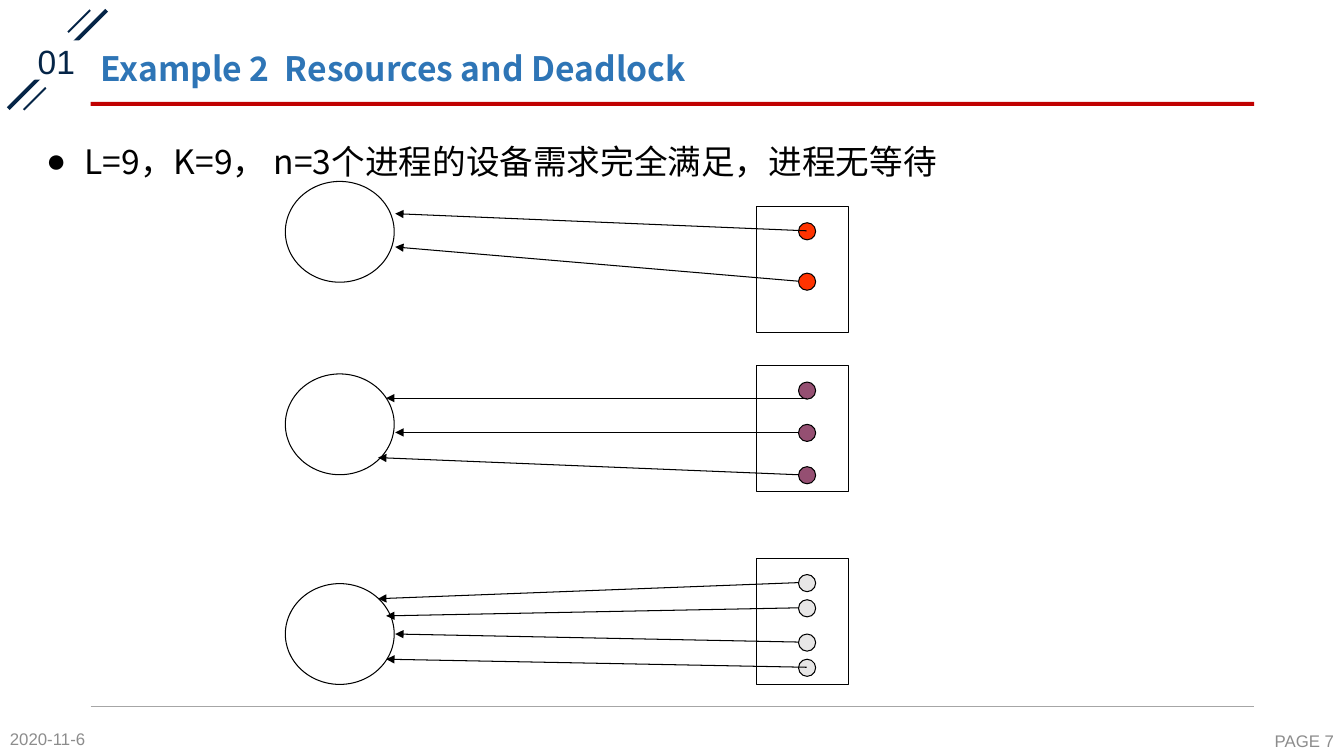
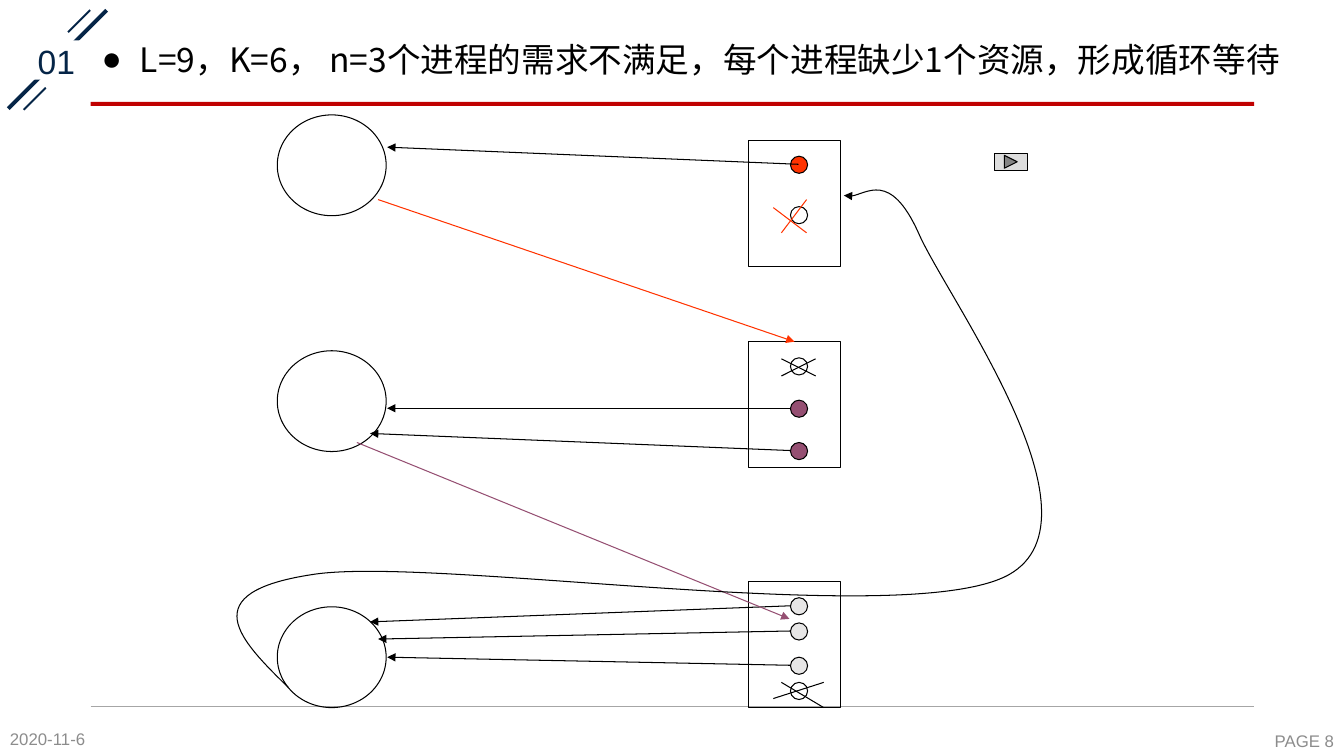
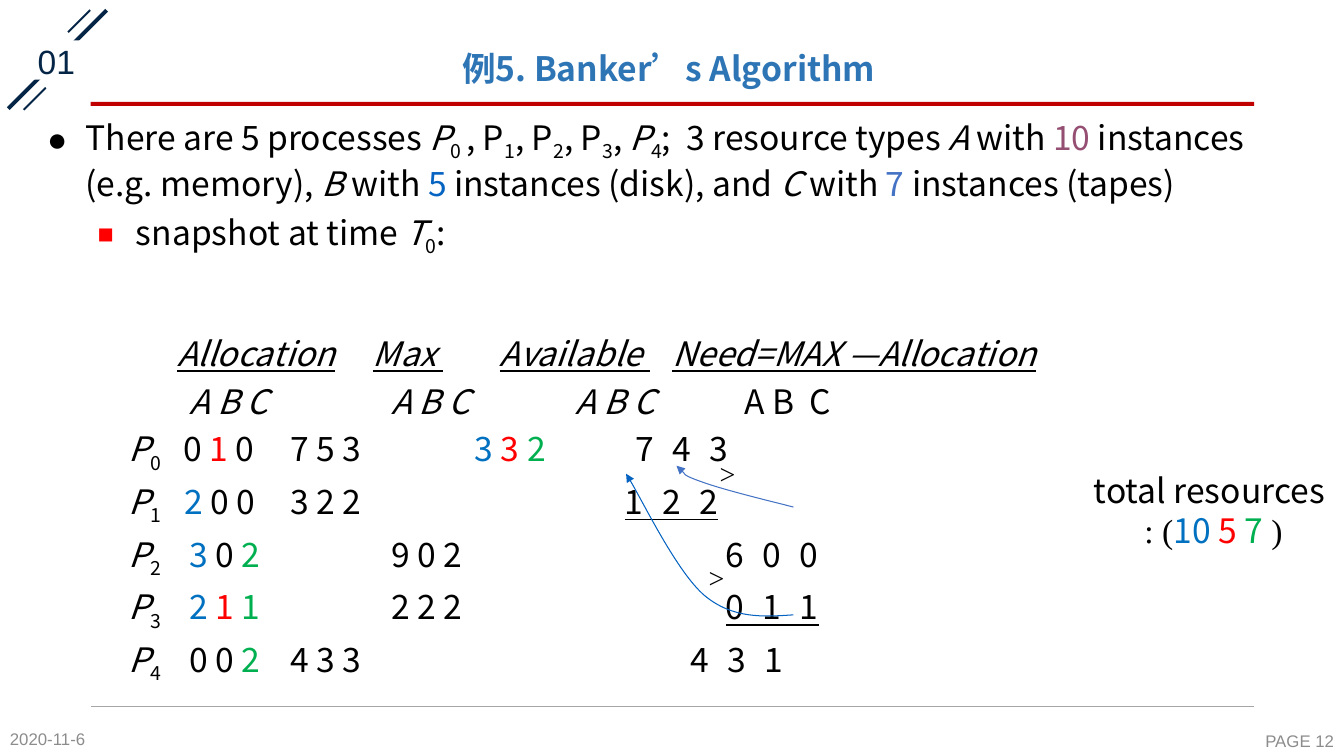
"""Three lecture slides on resource deadlock and the banker's algorithm."""
from dataclasses import dataclass
from typing import NamedTuple

from lxml.etree import SubElement
from pptx import Presentation
from pptx.dml.color import RGBColor
from pptx.enum.shapes import MSO_CONNECTOR as Connector, MSO_SHAPE as Preset
from pptx.enum.text import MSO_ANCHOR as Anchor, PP_ALIGN as Align
from pptx.oxml.ns import qn
from pptx.util import Inches, Pt

COLORS = {
    "black": "000000", "white": "FFFFFF", "navy": "052547", "rule": "C00000",
    "title": "2E75B6", "footer": "8C8C8C", "footer_rule": "A6A6A6",
    "orange": "FF3300", "plum": "954F72", "silver": "E7E6E6", "button": "DDDDDD",
    "blue": "0070C0", "red": "FF0000", "green": "00B050",
    "link": "0563C1", "accent": "4472C4",
}
SANS, SERIF, ARIAL = "Noto Sans CJK SC", "Times New Roman", "Arial"


class Span(NamedTuple):
    text: str
    color: str = "black"
    italic: bool = False
    underline: bool = False
    subscript: bool = False
    bold: bool = False
    face: str = SANS
    size: int = 24
    tracking: float = 0


class Bullet(NamedTuple):
    char: str
    margin: float
    color: str = "black"
    percent: int = 100


@dataclass
class Para:
    spans: list[Span]
    align: Align = Align.LEFT
    spacing: float = 1.0
    before: float = 0
    bullet: Bullet | None = None
    stops: tuple[float, ...] = ()


class Claim(NamedTuple):
    offset: float
    reach: float
    rise: float
    start_x: float = 0
    start_y: float = 0


class Process(NamedTuple):
    color: str
    claims: list[Claim]


class Stroke(NamedTuple):
    start: tuple[float, float]
    end: tuple[float, float]
    color: str = "black"
    arrow: bool = False


@dataclass
class Row:
    number: int
    allocation: str
    allocation_at: float
    maximum: str
    maximum_at: float
    need: str
    need_at: float
    available: str = ""
    underlined: bool = False


PROCESSES = [
    Process("orange", [Claim(0.16, 1.09, -0.17, 0.08), Claim(0.66, 1.09, -0.34)]),
    Process("plum", [Claim(0.16, 1, 0.08, 0.08, 0.08), Claim(0.58, 1.09, 0),
                     Claim(1, 0.92, -0.17)]),
    Process("silver", [Claim(0.16, 0.92, 0.16), Claim(0.41, 1, 0.08),
                       Claim(0.75, 1.09, -0.08), Claim(1, 1, -0.08, 0.08)]),
]
WAITS = [
    Stroke((7.67, 2.06), (8, 2.31), "orange"),
    Stroke((8, 1.98), (7.75, 2.31), "orange"),
    Stroke((3.75, 1.98), (7.88, 3.39), "orange", True),
    Stroke((7.75, 3.56), (8.09, 3.73)),
    Stroke((8.09, 3.56), (7.75, 3.73)),
    Stroke((3.54, 4.39), (7.83, 6.14), "plum", True),
    Stroke((7.75, 6.77), (8.17, 7.02)),
    Stroke((8.17, 6.77), (7.67, 6.93)),
]
AVAILABLE_AT = 3.43
ROWS = [
    Row(0, "0 1 0", 0.54, "7 5 3", 1.6, "7 4 3", 5.02, available="3 3 2"),
    Row(1, "2 0 0", 0.55, "3 2 2", 1.6, "1 2 2", 4.92, underlined=True),
    Row(2, "3 0 2", 0.6, "9 0 2", 2.6, "6 0 0", 5.92),
    Row(3, "2 1 1", 0.6, "2 2 2", 2.6, "0 1 1", 5.92, underlined=True),
    Row(4, "0 0 2", 0.6, "4 3 3", 1.6, "4 3 1", 5.57),
]


def rgb(name: str) -> RGBColor:
    return RGBColor.from_string(COLORS[name])


def italic(text: str, underline: bool = False) -> Span:
    return Span(text, italic=True, underline=underline)


def sub(text: str) -> Span:
    return Span(text, subscript=True)


def by_type(counts: str) -> list[Span]:
    """Colour each non-zero count by its resource type."""
    spans = []
    for count, color in zip(counts.split(), ("blue", "red", "green")):
        spans += [Span(count, "black" if count == "0" else color), Span(" ")]
    return spans[:-1]


def add_para(para, model: Para) -> None:
    props = para._p.get_or_add_pPr()
    if model.bullet:
        props.set("marL", str(Inches(model.bullet.margin)))
        props.set("indent", str(Inches(-0.38)))
        tint = SubElement(props, qn("a:buClr"))
        SubElement(tint, qn("a:srgbClr"), val=COLORS[model.bullet.color])
        SubElement(props, qn("a:buSzPct"), val=str(model.bullet.percent * 1000))
        SubElement(props, qn("a:buFont"), typeface=ARIAL)
        SubElement(props, qn("a:buChar"), char=model.bullet.char)
    if model.stops:
        tabs = SubElement(props, qn("a:tabLst"))
        for stop in model.stops:
            SubElement(tabs, qn("a:tab"), pos=str(Inches(stop)), algn="l")
    para.alignment = model.align
    para.line_spacing = model.spacing
    para.space_before = Pt(model.before)
    for span in model.spans:
        run = para.add_run()
        run.text = span.text
        font = run.font
        font.name, font.size = span.face, Pt(span.size)
        font.bold, font.italic, font.underline = span.bold, span.italic, span.underline
        font.color.rgb = rgb(span.color)
        run_props = run._r.get_or_add_rPr()
        SubElement(run_props, qn("a:ea"), typeface=SANS)
        if span.subscript:
            run_props.set("baseline", "-25000")
        if span.tracking:
            run_props.set("spc", str(round(span.tracking * 100)))


def fill_frame(frame, paras: list[Para], anchor: Anchor, wrap: bool = True) -> None:
    frame.word_wrap = wrap
    frame.vertical_anchor = anchor
    for index, model in enumerate(paras):
        add_para(frame.add_paragraph() if index else frame.paragraphs[0], model)


def add_text(page, left: float, top: float, width: float, height: float,
             paras: list[Para], anchor: Anchor = Anchor.TOP, wrap: bool = True) -> None:
    box = page.shapes.add_textbox(Inches(left), Inches(top), Inches(width), Inches(height))
    fill_frame(box.text_frame, paras, anchor, wrap)


def add_shape(page, preset: Preset, left: float, top: float, width: float, height: float,
              fill: str | None = None, line: str | None = "black"):
    shape = page.shapes.add_shape(
        preset, Inches(left), Inches(top), Inches(width), Inches(height))
    shape.shadow.inherit = False
    if fill:
        shape.fill.solid()
        shape.fill.fore_color.rgb = rgb(fill)
    else:
        shape.fill.background()
    if line:
        shape.line.color.rgb = rgb(line)
        shape.line.width = Pt(0.75)
    else:
        shape.line.fill.background()
    return shape


def add_arrowhead(shape) -> None:
    outline = shape.element.spPr.find(qn("a:ln"))
    SubElement(outline, qn("a:tailEnd"), type="triangle")


def add_stroke(page, stroke: Stroke, width: float = 0.75) -> None:
    line = page.shapes.add_connector(
        Connector.STRAIGHT, *(Inches(value) for value in stroke.start + stroke.end))
    line.line.color.rgb = rgb(stroke.color)
    line.line.width = Pt(width)
    if stroke.arrow:
        add_arrowhead(line)
    SubElement(line.element.spPr, qn("a:effectLst"))


def add_curve(page, points: list[tuple[float, float]], color: str) -> None:
    """Draw an arrow through cubic segments of three points after the start."""
    start, *controls = [(Inches(x), Inches(y)) for x, y in points]
    builder = page.shapes.build_freeform(*start)
    builder.add_line_segments(controls, close=False)
    shape = builder.convert_to_shape()
    path = shape.element.find(".//" + qn("a:path"))
    for index, line in enumerate(path.findall(qn("a:lnTo"))):
        if index % 3 == 0:
            curve = SubElement(path, qn("a:cubicBezTo"))
        curve.append(line[0])
        path.remove(line)
    shape.shadow.inherit = False
    shape.fill.background()
    shape.line.color.rgb = rgb(color)
    shape.line.width = Pt(0.75)
    add_arrowhead(shape)


def add_page(deck, number: int, title: str = "", align: Align = Align.LEFT):
    """Add a slide with the shared corner mark, rules, title and footer."""
    page = deck.slides.add_slide(deck.slide_layouts[6])
    for left, top, width, height in ((-0.12, 0.57, 1.38, 0.04), (0.63, 0.2, 0.31, 0.02),
                                     (0.19, 0.97, 0.31, 0.02)):
        add_shape(page, Preset.RECTANGLE, left, top, width, height, "navy", None).rotation = 315
    add_shape(page, Preset.RECTANGLE, 0.9, 1.01, 11.54, 0.04, "rule", None)
    add_stroke(page, Stroke((0.9, 7.01), (12.44, 7.01), "footer_rule"), 0.5)
    for left, top, width, text, side in ((0, 7.16, 1.18, "2020-11-6", Align.LEFT),
                                         (11.89, 7.18, 1.44, f"PAGE {number}", Align.RIGHT)):
        label = Span(text, "footer", face=ARIAL, size=12)
        add_text(page, left, top, width, 0.34, [Para([label], side)], Anchor.MIDDLE)
    if title:
        heading = Para([Span(title, "title", bold=True)], align, 0.9)
        add_text(page, 0.9, 0.4, 11.54, 0.6, [heading], Anchor.MIDDLE)
    badge = add_shape(page, Preset.RECTANGLE, 0.23, 0.4, 0.66, 0.39, "white", None)
    section = Span("01", "navy", face=ARIAL)
    fill_frame(badge.text_frame, [Para([section], Align.CENTER, 0.9)], Anchor.TOP)
    return page


def add_allocation(page, left: float, circle_tops: tuple, box_tops: tuple,
                   missing: tuple = ()) -> None:
    """Draw each process, its resource box and an arrow per held resource."""
    dot_left = left + 5.09
    for index, process in enumerate(PROCESSES):
        add_shape(page, Preset.OVAL, left, circle_tops[index], 1.08, 1)
        add_shape(page, Preset.RECTANGLE, left + 4.67, box_tops[index], 0.92, 1.25)
        for place, claim in enumerate(process.claims):
            held = (index, place) not in missing
            top = box_tops[index] + claim.offset
            middle = top + 0.08
            add_shape(page, Preset.OVAL, dot_left, top, 0.17, 0.17,
                      process.color if held else None)
            if held:
                add_stroke(page, Stroke((dot_left + claim.start_x, middle + claim.start_y),
                                        (left + claim.reach, middle + claim.rise), arrow=True))


def row_para(row: Row) -> Para:
    """Set one process row on its own tab stops."""
    stops = [row.allocation_at, row.maximum_at]
    spans = [italic("P"), sub(str(row.number)), Span("\t"), *by_type(row.allocation),
             Span("\t" + row.maximum)]
    if row.available:
        stops.append(AVAILABLE_AT)
        spans += [Span("\t"), *by_type(row.available)]
    stops.append(row.need_at)
    spans += [Span("\t"), Span(row.need, underline=row.underlined, tracking=3.9)]
    return Para(spans, before=4.8, stops=tuple(stops))


def build_satisfied(deck) -> None:
    page = add_page(deck, 7, "Example 2  Resources and Deadlock")
    add_text(page, 0.36, 1.21, 12.59, 0.8, [
        Para([Span("L=9，K=9， n=3个进程的设备需求完全满足，进程无等待")],
             spacing=1.35, bullet=Bullet("●", 0.38))])
    add_allocation(page, 2.83, (1.8, 3.71, 5.79), (2.05, 3.63, 5.54))


def build_deadlock(deck) -> None:
    page = add_page(deck, 8)
    add_text(page, 0.91, 0.2, 12.59, 0.7, [
        Para([Span("L=9，K=6， n=3个进程的需求不满足，每个进程缺少1个资源，"),
              Span("形成循环等待", face=SERIF)],
             spacing=1.35, bullet=Bullet("●", 0.38))])
    add_allocation(page, 2.75, (1.14, 3.48, 6.02), (1.39, 3.39, 5.77),
                   missing=((0, 1), (1, 0), (2, 3)))
    for stroke in WAITS:
        add_stroke(page, stroke)
    add_curve(page, [(2.86, 6.82), (2.38, 6.35), (1.91, 5.88), (3.1, 5.7),
                     (4.3, 5.51), (9.01, 6.26), (10.01, 5.7),
                     (11.01, 5.13), (9.38, 2.94), (9.11, 2.31),
                     (8.83, 1.69), (8.49, 2), (8.37, 1.94)], "black")
    add_shape(page, Preset.ACTION_BUTTON_FORWARD_OR_NEXT, 9.86, 1.52, 0.33, 0.17, "button")


def build_banker(deck) -> None:
    page = add_page(deck, 12, "例5. Banker’s Algorithm ", Align.CENTER)
    intro = [
        Span("There are 5 processes "), italic("P"), sub("0 "), Span(", P"), sub("1"),
        Span(", P"), sub("2"), Span(", P"), sub("3"), Span(", "), italic("P"), sub("4"),
        Span(";  3 resource types "), italic("A"), Span(" with "), Span("10", "plum"),
        Span(" instances (e.g. memory), "), italic("B"), Span(" with "), Span("5", "link"),
        Span(" instances (disk), and "), italic("C"), Span(" with "), Span("7", "accent"),
        Span(" instances (tapes)"),
    ]
    snapshot = [Span("snapshot at time "), italic("T"), sub("0"), Span(":")]
    add_text(page, 0.37, 1.11, 12.59, 2.29, [
        Para(intro, bullet=Bullet("●", 0.38)),
        Para(snapshot, before=6, bullet=Bullet("■", 0.88, "red", 80))])

    headings = []
    for text in ("Allocation", "Max ", "Available ", "Need=MAX —Allocation"):
        headings += [Span("\t"), italic(text, underline=True)]
    types = [italic("\tA B C" * 3), Span("\tA B\tC")]
    add_text(page, 1.18, 3.25, 11.79, 3.55, [
        Para(headings, stops=(0.48, 2.42, 3.68, 5.39)),
        Para(types, before=6, stops=(0.6, 2.6, 4.43, 6.11, 6.75)),
        *map(row_para, ROWS)])

    total = [Span(" : (", face=SERIF), *by_type("10 5 7"), Span(" )", face=SERIF)]
    add_text(page, 10.71, 4.61, 2.57, 0.91, [
        Para([Span("total resources")], Align.CENTER),
        Para(total, Align.CENTER)], wrap=False)
    add_curve(page, [(7.87, 5.03), (7.51, 4.94), (7.15, 4.85), (6.96, 4.78),
                     (6.76, 4.71), (6.75, 4.64), (6.71, 4.62)], "accent")
    add_curve(page, [(7.87, 6.1), (7.57, 6.12), (7.27, 6.14), (6.99, 5.91),
                     (6.72, 5.68), (6.34, 4.9), (6.21, 4.7)], "link")
    for left, top in ((7.04, 4.48), (6.93, 5.51)):
        add_text(page, left, top, 0.36, 0.43,
                 [Para([Span(">", face=SERIF, size=20)])], wrap=False)


def main() -> None:
    deck = Presentation()
    deck.slide_width, deck.slide_height = Inches(13.33), Inches(7.5)
    build_satisfied(deck)
    build_deadlock(deck)
    build_banker(deck)
    deck.save("out.pptx")


if __name__ == "__main__":
    main()
